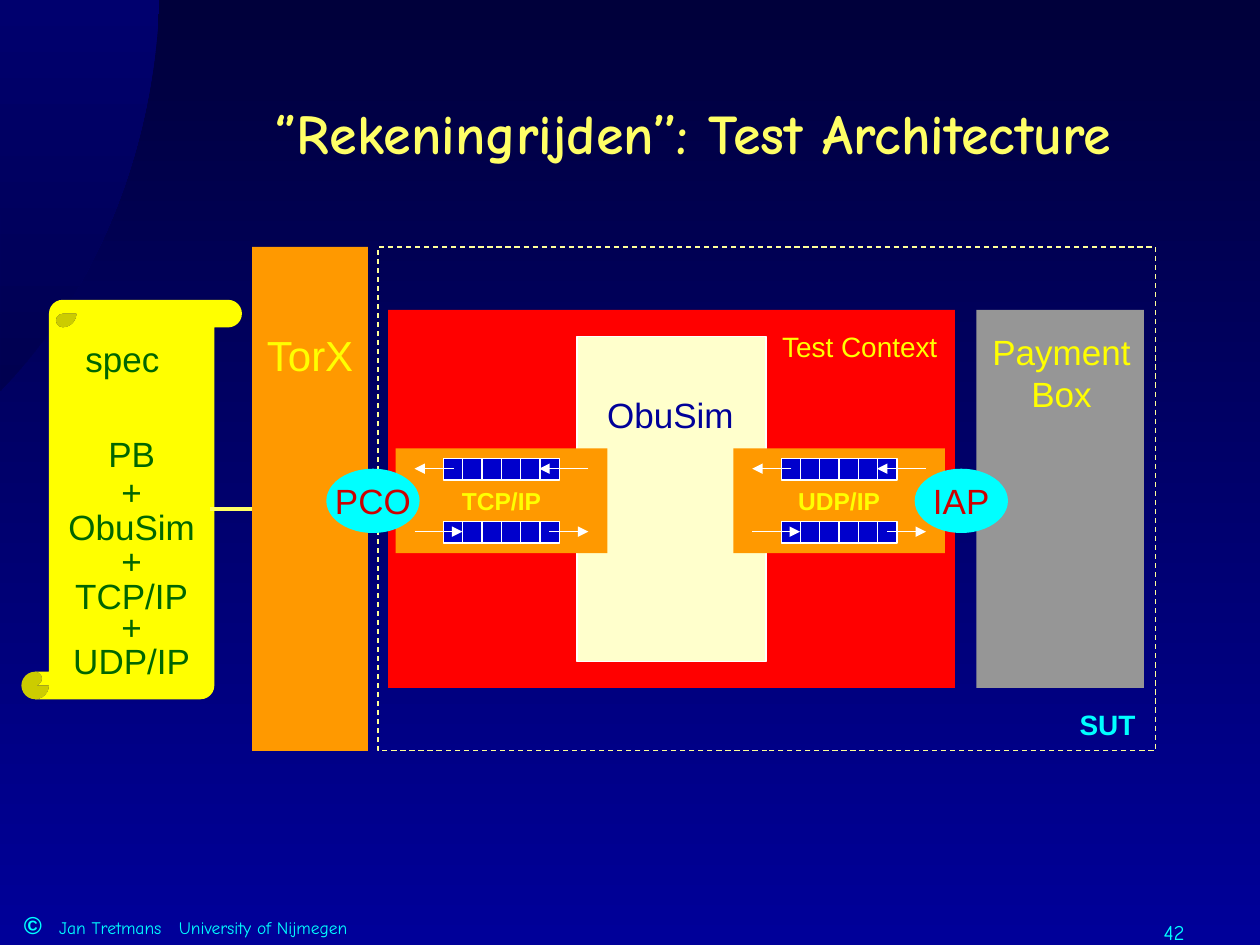
from math import sqrt

from pptx import Presentation
from pptx.dml.color import RGBColor
from pptx.enum.dml import MSO_LINE
from pptx.enum.shapes import MSO_CONNECTOR, MSO_SHAPE
from pptx.enum.text import MSO_ANCHOR, PP_ALIGN
from pptx.oxml.ns import qn
from pptx.util import Inches, Pt
from lxml.etree import SubElement

YELLOW, ORANGE, WHITE, CYAN = "FFFF00", "FF9900", "FFFFFF", "00FFFF"
GREEN, RED, NAVY = "006600", "CC0000", "000099"
CENTER, RIGHT = PP_ALIGN.CENTER, PP_ALIGN.RIGHT


def color(value):
    return RGBColor.from_string(value)


def add_run(p, text, size, value, font="Arial", bold=False):
    r = p.add_run()
    r.text = text
    r.font.size, r.font.name, r.font.bold = Pt(size), font, bold
    r.font.color.rgb = color(value)


def set_gradient(fill, top, bottom):
    """Fill from top to bottom."""
    fill.gradient()
    fill.gradient_angle = 270
    for stop, value in zip(fill.gradient_stops, (top, bottom)):
        stop.color.rgb = color(value)


def add_box(s, x, y, w, h, fill=None, line=None, kind=MSO_SHAPE.RECTANGLE):
    sp = s.shapes.add_shape(kind, Inches(x), Inches(y), Inches(w), Inches(h))
    sp.shadow.inherit = False
    if fill:
        sp.fill.solid()
        sp.fill.fore_color.rgb = color(fill)
    else:
        sp.fill.background()
    if line:
        sp.line.color.rgb = color(line)
        sp.line.width = Pt(0.75)
    else:
        sp.line.fill.background()
    return sp


def add_caption(sp, text, size, value, bold=False):
    """Centre one line of text inside a shape."""
    tf = sp.text_frame
    tf.word_wrap = False
    tf.vertical_anchor = MSO_ANCHOR.MIDDLE
    p = tf.paragraphs[0]
    p.alignment = CENTER
    add_run(p, text, size, value, bold=bold)


def add_text(s, x, y, w, h, wrap=True):
    tf = s.shapes.add_textbox(Inches(x), Inches(y), Inches(w), Inches(h)).text_frame
    tf.word_wrap = wrap
    return tf


def add_label(s, x, y, w, h, text, size, value, bold=False):
    tf = add_text(s, x, y, w, h, wrap=False)
    add_run(tf.paragraphs[0], text, size, value, bold=bold)


def add_line(s, x1, y1, x2, y2, value=WHITE, width=0.75, arrow=False):
    ln = s.shapes.add_connector(MSO_CONNECTOR.STRAIGHT, Inches(x1), Inches(y1),
                                Inches(x2), Inches(y2))
    ln.line.color.rgb = color(value)
    ln.line.width = Pt(width)
    if arrow:
        SubElement(ln.line._get_or_add_ln(), qn("a:tailEnd"), type="triangle")
    SubElement(ln._element.spPr, qn("a:effectLst"))


def add_backdrop(s):
    set_gradient(s.background.fill, "00003B", NAVY)
    # Corner of a large ellipse centred beyond the top left of the slide
    cx, cy, rx, ry, bottom, steps = -2.34, -0.2, 3.61, 4.34, 3.1, 40
    heights = [bottom * i / steps for i in range(steps + 1)]
    arc = [(Inches(max(0, cx + rx * sqrt(1 - ((y - cy) / ry) ** 2))), Inches(y))
           for y in heights]
    builder = s.shapes.build_freeform(0, 0, scale=1.0)
    builder.add_line_segments(arc, close=True)
    sp = builder.convert_to_shape()
    sp.shadow.inherit = False
    set_gradient(sp.fill, "00006E", "000050")
    sp.line.fill.background()


def add_title(s, x, y, w, h):
    tf = add_text(s, x, y, w, h)
    tf.vertical_anchor = MSO_ANCHOR.MIDDLE
    p = tf.paragraphs[0]
    p.alignment = CENTER
    add_run(p, "‘’Rekeningrijden’’: Test Architecture", 32, "FFFF66", "Comic Neue", True)


def add_footer(s, x, y, w, h):
    tf = add_text(s, x, y, w, h)
    tf.margin_left = Inches(0.19)
    p = tf.paragraphs[0]
    tabs = SubElement(p._p.get_or_add_pPr(), qn("a:tabLst"))
    for stop in (0.28, 1.23):
        SubElement(tabs, qn("a:tab"), pos=str(Inches(stop)), algn="l")
    add_run(p, "©", 14, CYAN, bold=True)
    add_run(p, "\tJan Tretmans\tUniversity of Nijmegen", 10, CYAN, "Comic Neue")

    p = add_text(s, 8.58, 7.25, 0.92, 0.25).paragraphs[0]
    p.alignment = RIGHT
    add_run(p, "42", 12, CYAN, "Comic Neue")


def add_specification(s, x, y, w, h):
    add_box(s, x, y, w, h, YELLOW, kind=MSO_SHAPE.VERTICAL_SCROLL)
    add_label(s, x + 0.41, y + 0.25, 1, 0.44, "spec", 20, GREEN)
    tf = add_text(s, x + 0.25, y + 1, 1.25, 2.04)
    parts = [("PB", 1), ("+", 0.3), ("ObuSim", 0.3), ("+", 0.3),
             ("TCP/IP", 0.3), ("+", 0.2), ("UDP/IP", 0.3)]
    for i, (text, spacing) in enumerate(parts):
        p = tf.add_paragraph() if i else tf.paragraphs[0]
        p.alignment = CENTER
        p.line_spacing = spacing
        if i:
            p.space_before = Pt(12.5)
        add_run(p, text, 20, GREEN)
    add_line(s, x + 1.5, y + 1.66, x + 2.08, y + 1.66, "FFFF66", 2.25, arrow=True)


def add_payment_box(s, x, y, w, h):
    add_box(s, x, y, w, h, "969696")
    p = add_text(s, x - 0.24, y + 0.11, w + 0.5, 0.77).paragraphs[0]
    p.alignment = CENTER
    add_run(p, "Payment", 20, YELLOW)
    p.add_line_break()
    add_run(p, "Box", 20, YELLOW)


def add_tester(s, x, y, w, h):
    add_box(s, x, y, w, h, ORANGE)
    add_label(s, x + 0.02, y + 0.61, 1, 0.5, "TorX", 24, YELLOW)


def add_system_under_test(s, x, y, w, h):
    add_box(s, x, y, w, h, line="FFFF99").line.dash_style = MSO_LINE.DASH
    add_label(s, x + w - 0.7, y + h - 0.39, 0.7, 0.37, "SUT", 16, CYAN, True)


def add_queue(s, x, y, w=0.92, h=0.17, cells=6):
    add_box(s, x, y, w, h, "0000CC", WHITE)
    for i in range(1, cells):
        cut = x + i * w / cells
        add_line(s, cut, y, cut, y + h)


def add_channel(s, x, y, w, h, protocol):
    """Protocol block with an outgoing queue above and an incoming one below."""
    add_caption(add_box(s, x, y, w, h, ORANGE), protocol, 14, YELLOW, True)
    for top, arrows in ((0.08, ((0.46, 0.15), (1.53, 1.14))),
                        (0.58, ((0.15, 0.53), (1.22, 1.53)))):
        add_queue(s, x + 0.38, y + top)
        for start, end in arrows:
            add_line(s, x + start, y + top + 0.08, x + end, y + top + 0.08, arrow=True)


def add_test_context(s, x, y, w, h):
    add_box(s, x, y, w, h, "FF0000")
    add_label(s, x + 3.03, y + 0.11, 1.47, 0.37, "Test Context", 16, YELLOW)
    add_box(s, x + 1.5, y + 0.21, 1.5, 2.58, "FFFFCC", WHITE)
    add_label(s, x + 1.64, y + 0.61, 1.35, 0.44, "ObuSim", 20, NAVY)
    for left, protocol in ((0.06, "TCP/IP"), (2.74, "UDP/IP")):
        add_channel(s, x + left, y + 1.1, 1.68, 0.83, protocol)
    for left, name in ((4.18, "IAP"), (-0.49, "PCO")):
        sp = add_box(s, x + left, y + 1.26, 0.74, 0.51, CYAN, kind=MSO_SHAPE.OVAL)
        add_caption(sp, name, 20, RED)


def main():
    prs = Presentation()
    prs.slide_width, prs.slide_height = Inches(10), Inches(7.5)
    s = prs.slides.add_slide(prs.slide_layouts[6])
    add_backdrop(s)
    add_footer(s, 0, 7.17, 3.21, 0.33)
    add_specification(s, 0.17, 2.38, 1.75, 3.17)
    add_payment_box(s, 7.75, 2.46, 1.33, 3)
    add_tester(s, 2, 1.96, 0.92, 4)
    add_title(s, 1, 0.42, 9, 1.25)
    add_system_under_test(s, 3, 1.96, 6.17, 4)
    add_test_context(s, 3.08, 2.46, 4.5, 3)
    prs.save("out.pptx")


if __name__ == "__main__":
    main()
